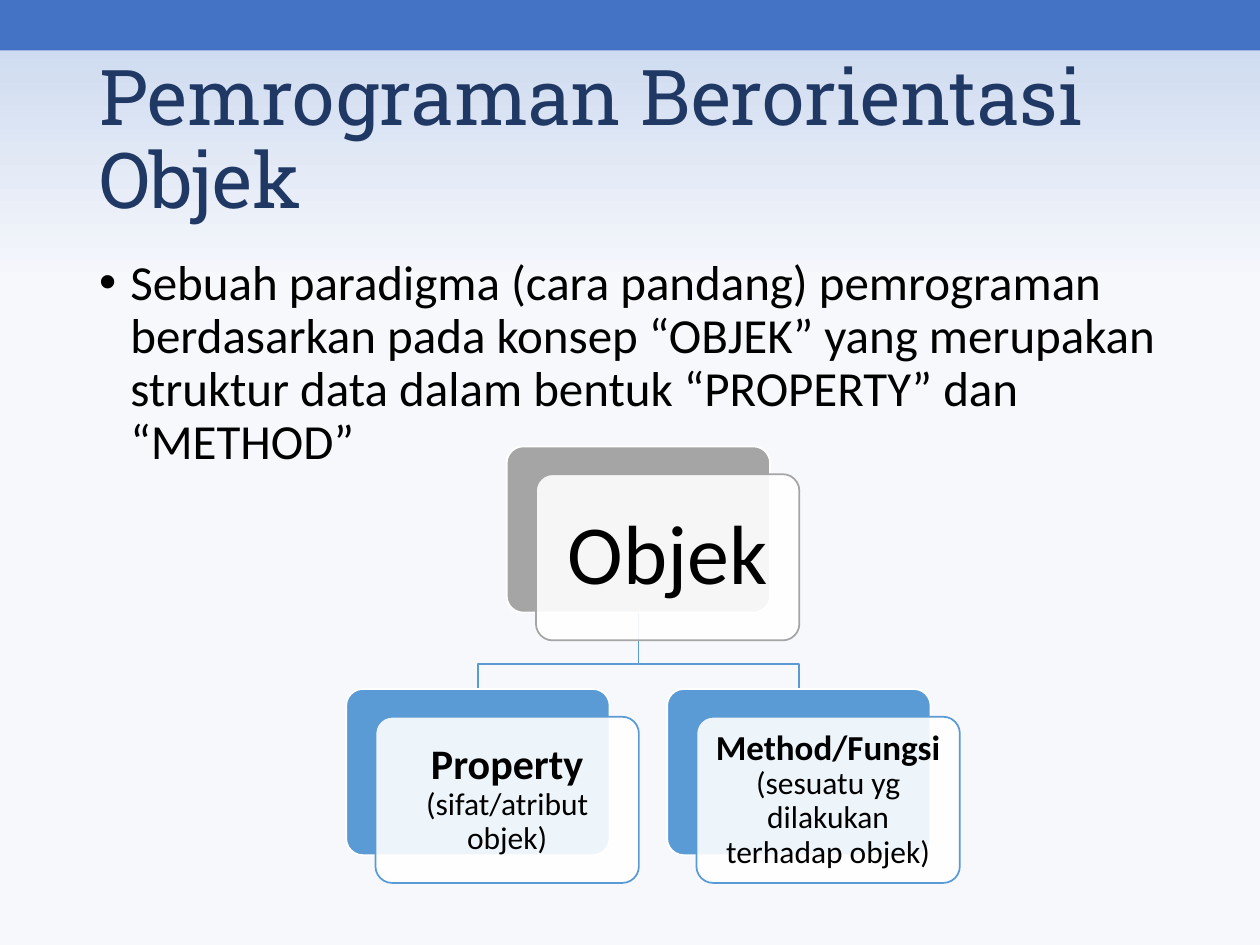
from lxml.etree import SubElement
from pptx import Presentation
from pptx.dml.color import RGBColor as Rgb
from pptx.enum.shapes import MSO_SHAPE as Kind
from pptx.enum.text import MSO_ANCHOR as Anchor, PP_ALIGN as Align
from pptx.oxml.ns import qn
from pptx.util import Cm, Pt


def tint(code):
    return Rgb.from_string(code)


def write(box, runs, font="Calibri", color="000000", align=Align.LEFT,
          anchor=Anchor.TOP, inset=None, before=0, bullet=None):
    frame = box.text_frame
    frame.word_wrap = True
    frame.vertical_anchor = anchor
    if inset is not None:
        frame.margin_left = frame.margin_right = Cm(inset)
        frame.margin_top = frame.margin_bottom = Cm(inset)
    para = frame.paragraphs[0]
    para.alignment = align
    para.line_spacing = 0.9
    para.space_before = Pt(before)
    if bullet:
        props = para._p.get_or_add_pPr()
        props.set("marL", str(Cm(0.63)))
        props.set("indent", str(Cm(-0.63)))
        SubElement(props, qn("a:buFont"), typeface="Arial")
        SubElement(props, qn("a:buChar"), char=bullet)
    for words, size, bold in runs:
        run = para.add_run()
        run.text = words
        run.font.name = font
        run.font.size = Pt(size)
        run.font.bold = bold
        run.font.color.rgb = tint(color)


class Deck:
    bar, ink, blue, gray, white = "4472C4", "203864", "5B9BD5", "A5A5A5", "FFFFFF"
    wide, high = 5.31, 3.35
    right, down = 0.59, 0.56

    def __init__(self):
        self.file = Presentation()
        self.file.slide_width, self.file.slide_height = Cm(25.4), Cm(19.05)
        self.slide = self.file.slides.add_slide(self.file.slide_layouts[6])
        self.shapes = self.slide.shapes

    def shade(self, top, end, stop):
        fill = self.slide.background.fill
        fill.gradient()
        fill.gradient_angle = 270
        first, last = fill.gradient_stops
        first.color.rgb, first.position = tint(top), 0
        last.color.rgb, last.position = tint(end), stop

    def block(self, kind, x, y, w, h, fill, line=None, alpha=None):
        shape = self.shapes.add_shape(kind, Cm(x), Cm(y), Cm(w), Cm(h))
        shape.shadow.inherit = False
        shape.fill.solid()
        shape.fill.fore_color.rgb = tint(fill)
        if alpha:
            color = shape.fill._xPr.find(qn("a:solidFill"))[0]
            SubElement(color, qn("a:alpha"), val=str(alpha * 1000))
        if line:
            shape.adjustments[0] = 0.1
            shape.line.color.rgb = tint(line)
            shape.line.width = Pt(1)
        else:
            shape.line.fill.background()

    def text(self, x, y, w, h, runs, **style):
        box = self.shapes.add_textbox(Cm(x), Cm(y), Cm(w), Cm(h))
        write(box, runs, **style)

    def link(self, *points):
        start, *rest = [(Cm(x), Cm(y)) for x, y in points]
        pen = self.shapes.build_freeform(*start)
        pen.add_line_segments(rest, close=False)
        shape = pen.convert_to_shape()
        shape.shadow.inherit = False
        shape.fill.background()
        shape.line.color.rgb = tint(self.blue)
        shape.line.width = Pt(1)

    def card(self, x, y, color, runs, inset):
        size = self.wide, self.high
        self.block(Kind.ROUNDED_RECTANGLE, x, y, *size, color, self.white)
        x, y = x + self.right, y + self.down
        self.block(Kind.ROUNDED_RECTANGLE, x, y, *size, self.white, color, 90)
        self.text(x + 0.1, y + 0.1, self.wide - 0.2, self.high - 0.2, runs,
                  align=Align.CENTER, anchor=Anchor.MIDDLE, inset=inset)


def main():
    deck = Deck()
    deck.shade("C7D5ED", "F6F8FC", 0.3)
    deck.block(Kind.RECTANGLE, 0, 0, 25.4, 1.02, deck.bar)
    deck.text(1.75, 1.02, 21.9, 3.68,
              [("Pemrograman Berorientasi Objek", 44, False)],
              font="Roboto Slab", color=deck.ink, anchor=Anchor.MIDDLE)
    deck.text(1.75, 5.08, 21.9, 12.09,
              [("Sebuah paradigma (cara pandang) pemrograman berdasarkan pada "
                "konsep “OBJEK” yang merupakan struktur data dalam bentuk "
                "“PROPERTY” dan “METHOD”", 28, False)],
              before=10, bullet="•")

    left, step, top, low = 6.98, 6.47, 9, 13.89
    root = left + step / 2
    mid, base, bend = root + deck.wide / 2, top + deck.high, low - 0.5
    kids = [
        (left, [("Property", 24, True), (" ", 12, False),
                ("(sifat/atribut objek)", 18, False)], 0.25),
        (left + step, [("Method/Fungsi", 20, True),
                       (" (sesuatu yg dilakukan terhadap objek)", 18, False)], 0.2),
    ]
    for x, _, _ in reversed(kids):
        end = x + deck.wide / 2
        deck.link((mid, base), (mid, bend), (end, bend), (end, low))
    deck.card(root, top, deck.gray, [("Objek", 48, False)], 0.5)
    for x, runs, inset in kids:
        deck.card(x, low, deck.blue, runs, inset)
    deck.file.save("out.pptx")


if __name__ == "__main__":
    main()
